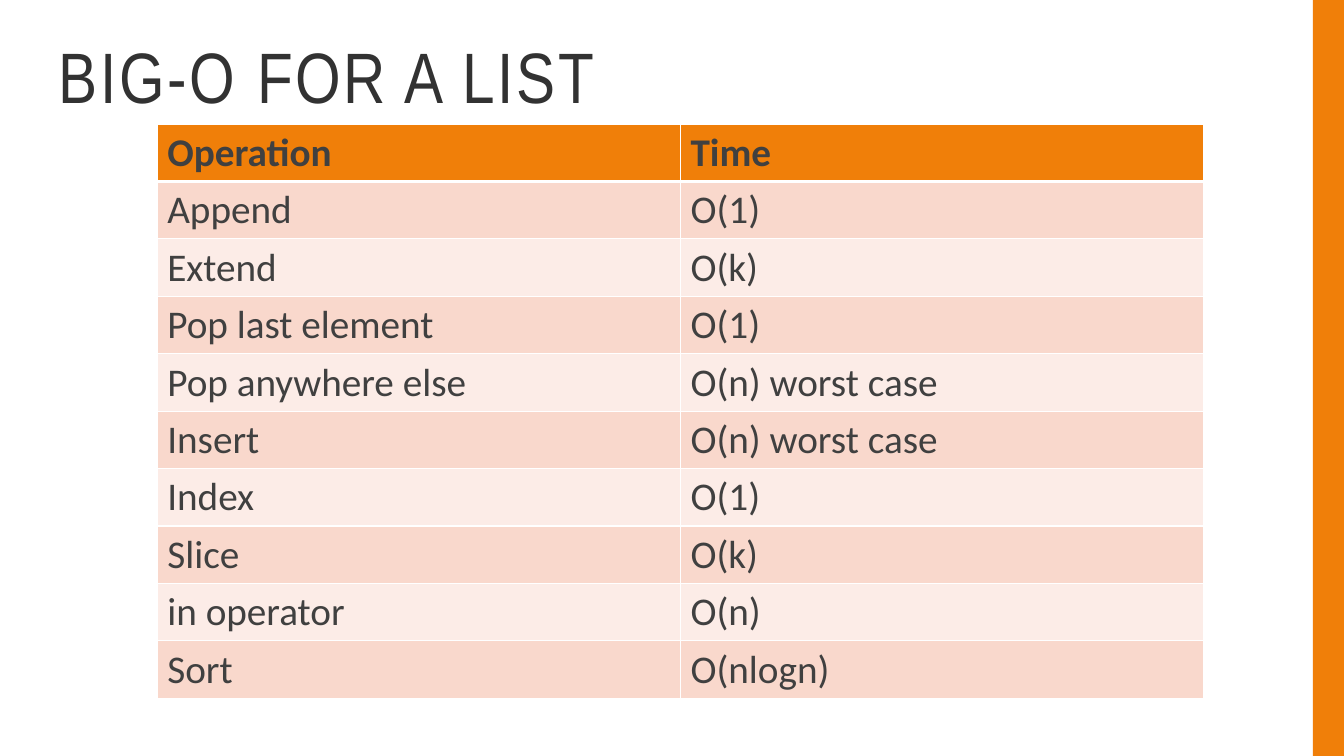
import pptx
import pptx.util
import pptx.dml.color
import pptx.enum.shapes
import pptx.enum.text
import pptx.oxml
import pptx.oxml.ns

Inches, Pt = pptx.util.Inches, pptx.util.Pt
RGBColor = pptx.dml.color.RGBColor
MIDDLE = pptx.enum.text.MSO_ANCHOR.MIDDLE

ORANGE = RGBColor(0xF0, 0x7F, 0x09)
ROSE = RGBColor(0xF9, 0xD8, 0xCC)
BLUSH = RGBColor(0xFC, 0xEC, 0xE7)
WHITE = RGBColor(0xFF, 0xFF, 0xFF)
INK = RGBColor(0x32, 0x32, 0x32)
GREY = RGBColor(0x40, 0x40, 0x40)

WIDE, HIGH = 13.33, 7.5
BAR = 0.31
ROW, COL = 0.57, 5.19

COSTS = [
    ("Operation", "Time"),
    ("Append", "O(1)"),
    ("Extend", "O(k)"),
    ("Pop last element", "O(1)"),
    ("Pop anywhere else", "O(n) worst case"),
    ("Insert", "O(n) worst case"),
    ("Index", "O(1)"),
    ("Slice", "O(k)"),
    ("in operator", "O(n)"),
    ("Sort", "O(nlogn)"),
]


def box(*sides):
    return [Inches(side) for side in sides]


def add_run(para, text, font, size, color, bold=False):
    run = para.add_run()
    run.text = text
    run.font.name = font
    run.font.size = Pt(size)
    run.font.color.rgb = color
    run.font.bold = bold
    return run


def add_bar(slide):
    kind = pptx.enum.shapes.MSO_SHAPE.RECTANGLE
    bar = slide.shapes.add_shape(kind, *box(WIDE - BAR, 0, BAR, HIGH))
    bar.shadow.inherit = False
    bar.fill.solid()
    bar.fill.fore_color.rgb = ORANGE
    bar.line.fill.background()


def add_title(slide, text):
    frame = slide.shapes.add_textbox(*box(0.48, 0.36, 12.1, 0.87)).text_frame
    frame.word_wrap = True
    frame.vertical_anchor = MIDDLE
    para = frame.paragraphs[0]
    para.line_spacing = 0.9
    run = add_run(para, text, "Arial Narrow", 51, INK)
    run.font._element.set("spc", "200")


def add_edge(cell, side, width):
    props = cell._tc.get_or_add_tcPr()
    props.append(pptx.oxml.parse_xml(
        f'<a:{side} {pptx.oxml.ns.nsdecls("a")} w="{Pt(width)}"><a:solidFill>'
        f'<a:srgbClr val="{WHITE}"/></a:solidFill></a:{side}>'))


def fill_cell(cell, text, row):
    head = row == 0
    # Borders come before the fill; the header has a heavier rule below it
    for side in ("lnL", "lnR", "lnT", "lnB"):
        heavy = (head and side == "lnB") or (row == 1 and side == "lnT")
        add_edge(cell, side, 3 if heavy else 1)
    cell.fill.solid()
    cell.fill.fore_color.rgb = ORANGE if head else (BLUSH, ROSE)[row % 2]
    add_run(cell.text_frame.paragraphs[0], text, "Calibri", 28, GREY, head)


def add_grid(slide, rows):
    count, wide = len(rows), len(rows[0])
    place = box(1.56, 1.23, wide * COL, count * ROW)
    table = slide.shapes.add_table(count, wide, *place).table
    for r, texts in enumerate(rows):
        for c, text in enumerate(texts):
            fill_cell(table.cell(r, c), text, r)


def main():
    deck = pptx.Presentation()
    deck.slide_width, deck.slide_height = box(WIDE, HIGH)
    slide = deck.slides.add_slide(deck.slide_layouts[6])
    add_bar(slide)
    add_title(slide, "BIG-O FOR A LIST")
    add_grid(slide, COSTS)
    deck.save("out.pptx")


if __name__ == "__main__":
    main()
